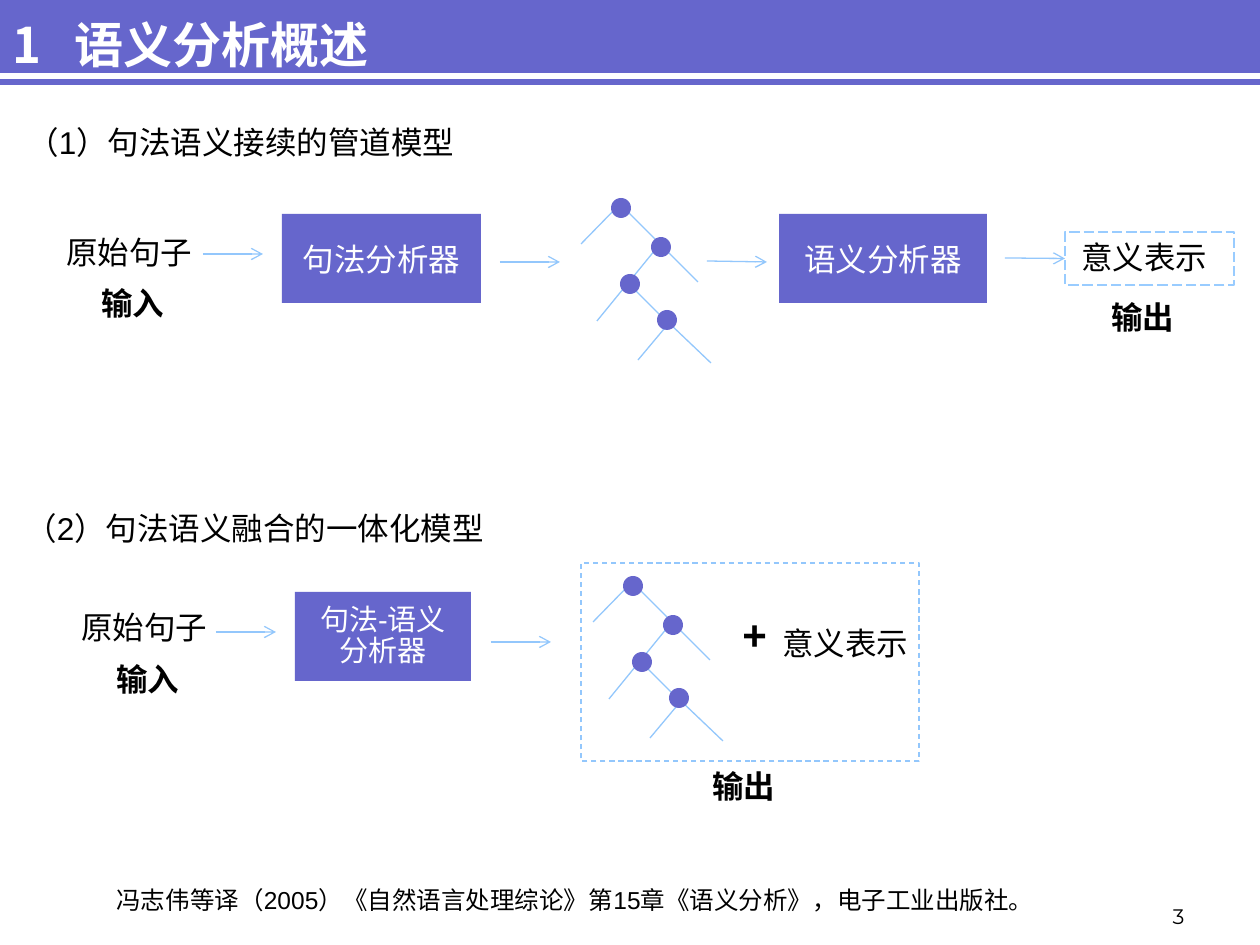
from lxml.etree import SubElement
from pptx import Presentation
from pptx.dml.color import RGBColor
from pptx.enum.dml import MSO_LINE
from pptx.enum.shapes import MSO_CONNECTOR, MSO_SHAPE
from pptx.enum.text import MSO_ANCHOR, MSO_AUTO_SIZE, PP_ALIGN
from pptx.oxml.ns import qn
from pptx.util import Emu, Pt


class Theme:
    main = RGBColor(0x66, 0x66, 0xCC)
    edge = RGBColor(0x93, 0xC7, 0xFC)
    frame = RGBColor(0x99, 0xCC, 0xFF)
    ink = RGBColor(0, 0, 0)
    paper = RGBColor(255, 255, 255)
    latin, asian, digit = "Arial", "Noto Sans CJK SC", "Montserrat"
    title, plus, body, tight, cite, page = 28, 24, 18, 16.6, 14, 12
    thin, thick = 0.75, 3


LEFT, MID, RIGHT = PP_ALIGN.LEFT, PP_ALIGN.CENTER, PP_ALIGN.RIGHT

# Each node, relative to the root: joint, dot centre, left end, right end
NODES = [
    ((0, 0), (1, 4), (-39, 40), (39, 39)),
    ((40, 40), (41, 43), (9, 78), (78, 78)),
    ((8, 79), (10, 80), (-23, 117), (49, 120)),
    ((49, 119), (47, 116), (18, 156), (91, 159)),
]
DOT = 20


def px(n):
    """Turn px (126 to the inch) into EMU."""
    return Emu(round(n * 914400 / 126))


class Pen:
    def __init__(self, slide, theme):
        self.slide, self.theme = slide, theme
        self.into = slide.shapes

    def group(self):
        """Draw into a new group from here on."""
        self.into = self.slide.shapes.add_group_shape().shapes

    def ungroup(self):
        self.into = self.slide.shapes

    def letter(self, frame, lines, size, color, align, bold=False, font=None, space=None):
        """Put the lines into a text frame, one paragraph each."""
        for i, line in enumerate(lines):
            para = frame.paragraphs[0] if i == 0 else frame.add_paragraph()
            para.alignment = align
            if space:
                para.line_spacing = space
            run = para.add_run()
            run.text = line
            run.font.name = font or self.theme.latin
            run.font.size = Pt(size)
            run.font.bold = bold
            run.font.color.rgb = color
            asian = SubElement(run._r.get_or_add_rPr(), qn("a:ea"))
            asian.set("typeface", self.theme.asian)

    def text(self, x, y, w, h, words, size=None, align=LEFT, color=None,
             bold=False, font=None, wrap=True, anchor=MSO_ANCHOR.TOP):
        box = self.into.add_textbox(px(x), px(y), px(w), px(h))
        frame = box.text_frame
        frame.word_wrap = wrap
        frame.vertical_anchor = anchor
        if anchor == MSO_ANCHOR.TOP:
            frame.auto_size = MSO_AUTO_SIZE.SHAPE_TO_FIT_TEXT
        self.letter(frame, [words], size or self.theme.body,
                    color or self.theme.ink, align, bold, font)
        return box

    def label(self, x, y, words):
        self.text(x, y, 88, 50, words, bold=True, wrap=False)

    def phrase(self, x, y, words):
        self.text(x, y, 179, 50, words, align=MID)

    def solid(self, x, y, w, h, kind=MSO_SHAPE.RECTANGLE):
        shape = self.into.add_shape(kind, px(x), px(y), px(w), px(h))
        shape.shadow.inherit = False
        shape.fill.solid()
        shape.fill.fore_color.rgb = self.theme.main
        shape.line.fill.background()
        return shape

    def block(self, x, y, w, lines, size=None, space=None):
        frame = self.solid(x, y, w, 89).text_frame
        frame.word_wrap = True
        frame.vertical_anchor = MSO_ANCHOR.MIDDLE
        self.letter(frame, lines, size or self.theme.body, self.theme.paper,
                    MID, space=space)

    def dashed(self, x, y, w, h, color, dash):
        shape = self.into.add_shape(MSO_SHAPE.RECTANGLE, px(x), px(y), px(w), px(h))
        shape.shadow.inherit = False
        shape.fill.background()
        shape.line.color.rgb = color
        shape.line.width = Pt(self.theme.thin)
        shape.line.dash_style = dash
        return shape

    def line(self, x1, y1, x2, y2, color=None, width=None):
        line = self.into.add_connector(MSO_CONNECTOR.STRAIGHT,
                                       px(x1), px(y1), px(x2), px(y2))
        line.line.color.rgb = color or self.theme.edge
        line.line.width = Pt(width or self.theme.thin)
        SubElement(line._element.spPr, qn("a:effectLst"))
        return line

    def arrow(self, x, y, drop=0):
        line = self.line(x, y, x + 60, y + drop)
        stroke = line._element.spPr.find(qn("a:ln"))
        SubElement(stroke, qn("a:tailEnd")).set("type", "arrow")
        return line

    def tree(self, x, y):
        for (jx, jy), _, *ends in NODES:
            for ex, ey in ends:
                self.line(x + jx, y + jy, x + ex, y + ey)
        for _, (cx, cy), *_ in NODES:
            self.solid(x + cx - DOT / 2, y + cy - DOT / 2, DOT, DOT, MSO_SHAPE.OVAL)


def header(pen):
    look = pen.theme
    pen.solid(-5, -4, 1265, 89)
    pen.line(-5, 76, 1260, 76, look.paper, look.thick)
    title = pen.text(0, -4, 1062, 96, "1\t语义分析概述", look.title, color=look.paper,
                     bold=True, font=look.asian, anchor=MSO_ANCHOR.MIDDLE)
    props = title.text_frame.paragraphs[0]._p.get_or_add_pPr()
    stop = SubElement(SubElement(props, qn("a:tabLst")), qn("a:tab"))
    stop.set("pos", str(px(62)))
    stop.set("algn", "l")


def pipeline(pen):
    pen.text(15, 117, 501, 50, "（1）句法语义接续的管道模型")
    pen.phrase(40, 227, "原始句子")
    pen.label(89, 278, "输入")
    pen.block(282, 214, 199, ["句法分析器"])
    pen.tree(620, 204)
    pen.block(779, 214, 208, ["语义分析器"])
    pen.phrase(1055, 232, "意义表示")
    pen.label(1099, 292, "输出")
    pen.arrow(203, 254)
    pen.arrow(500, 262)
    pen.arrow(707, 261, 1)
    goal = pen.dashed(1065, 232, 169, 53, pen.theme.frame, MSO_LINE.LONG_DASH)
    pen.arrow(1005, 258).end_connect(goal, 1)


def joint(pen):
    pen.text(13, 503, 582, 50, "（2）句法语义融合的一体化模型")
    pen.group()
    pen.phrase(55, 602, "原始句子")
    pen.label(104, 654, "输入")
    pen.block(295, 592, 176, ["句法-语义", "分析器"], pen.theme.tight, 0.9)
    pen.tree(632, 582)
    pen.text(730, 602, 49, 63, "+", pen.theme.plus, bold=True)
    pen.phrase(756, 618, "意义表示")
    pen.label(700, 761, "输出")
    pen.arrow(216, 632)
    pen.arrow(491, 642)
    pen.dashed(581, 563, 338, 198, pen.theme.edge, MSO_LINE.DASH)
    pen.ungroup()


def footer(pen):
    look = pen.theme
    pen.text(104, 879, 1042, 43,
             "冯志伟等译（2005）《自然语言处理综论》第15章《语义分析》，电子工业出版社。",
             look.cite)
    pen.text(935, 872, 262, 63, "3", look.page, RIGHT, font=look.digit,
             anchor=MSO_ANCHOR.BOTTOM)


def main():
    deck = Presentation()
    deck.slide_width, deck.slide_height = px(1260), px(945)
    pen = Pen(deck.slides.add_slide(deck.slide_layouts[6]), Theme)
    for part in (header, pipeline, joint, footer):
        part(pen)
    deck.save("out.pptx")


if __name__ == "__main__":
    main()
